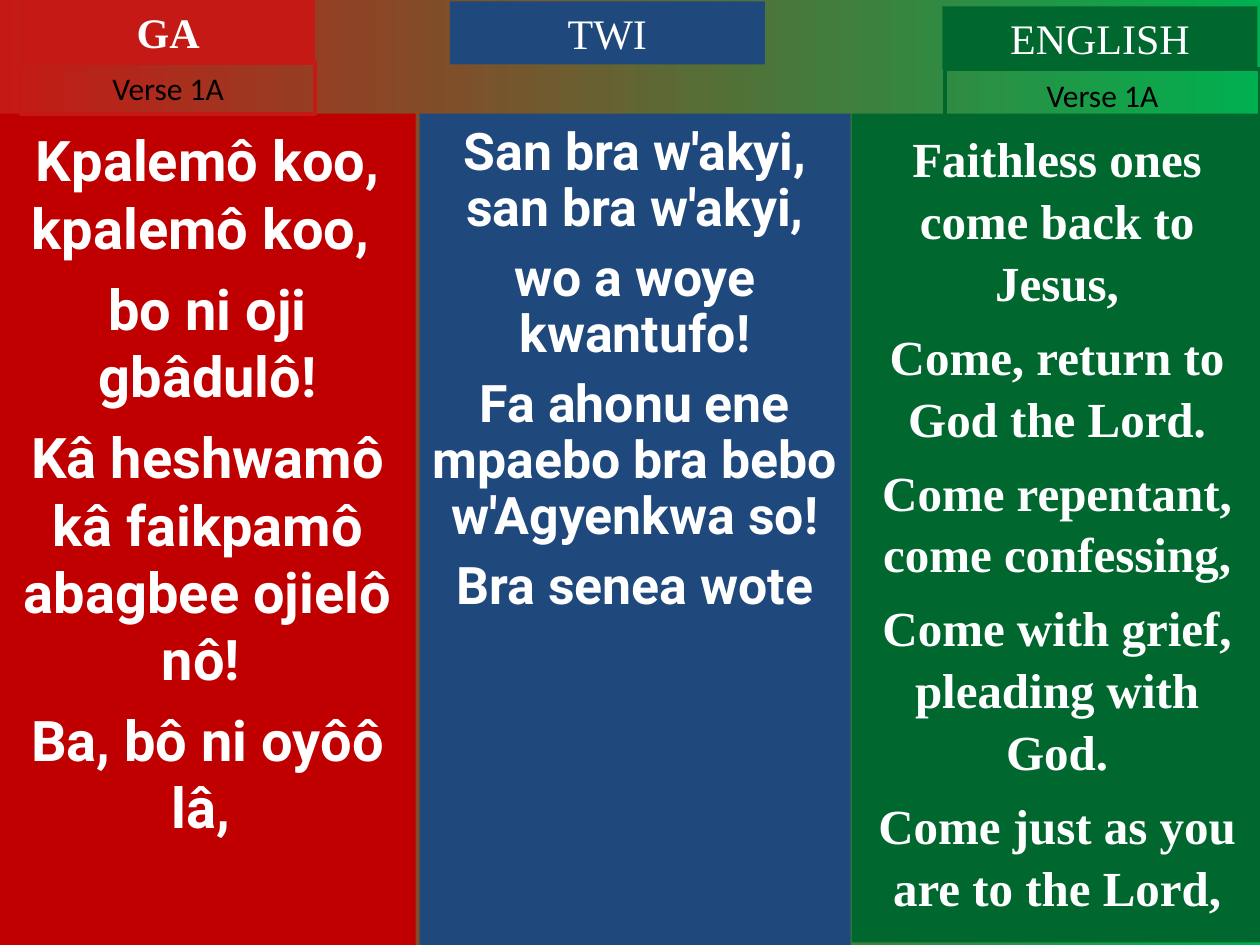
import pptx
import pptx.dml.color
import pptx.enum.shapes
import pptx.enum.text
import pptx.util

Cm, Pt = pptx.util.Cm, pptx.util.Pt

RED, BLUE, GREEN, WHITE, BLACK = "C51915", "1F497D", "00682F", "FFFFFF", "000000"
HEADING = {"name": "Times New Roman", "size": Pt(24)}
VERSE = {"name": "Calibri", "size": Pt(18)}

# Each column: frame in cm (left, top, width, height), fill, font, paragraph gap, line spacing, lyrics
COLUMNS = [
    ((0, 2.29, 8.38, 16.76), "C00000", {"name": "Roboto", "size": Pt(32), "bold": True}, 8, 1.0,
     ["Kpalemô koo, kpalemô koo, ",
      "bo ni oji gbâdulô!",
      "Kâ heshwamô kâ faikpamô abagbee ojielô nô! ",
      "Ba, bô ni oyôô lâ, "]),
    ((8.46, 2.29, 8.69, 16.76), BLUE, {"name": "Roboto", "size": Pt(29.6), "bold": True}, 8, 0.9,
     ["San bra w'akyi, san bra w'akyi,",
      "wo a woye kwantufo!",
      "Fa ahonu ene mpaebo bra bebo w'Agyenkwa so!",
      "Bra senea wote"]),
    ((17.17, 2.29, 8.28, 16.71), GREEN, {"name": "Times New Roman", "size": Pt(28), "bold": True}, 7, 1.05,
     ["Faithless ones come back to Jesus,",
      "Come, return to God the Lord.",
      "Come repentant, come confessing,",
      "Come with grief, pleading with God.",
      "Come just as you are to the Lord,"]),
]
HEADINGS = [
    ("GA", (0.43, 0, 5.92, 1.27), RED, {**HEADING, "bold": True}),
    ("TWI", (9.07, 0.03, 6.35, 1.27), BLUE, HEADING),
    ("ENGLISH", (19, 0.13, 6.35, 1.27), GREEN, HEADING),
]
VERSES = [
    ("Verse 1A", (0.43, 1.27, 5.92, 1.03), RED),
    ("Verse 1A", (19.05, 1.4, 6.35, 1.03), GREEN),
]


def rgb(value):
    return pptx.dml.color.RGBColor.from_string(value)


def add_panel(page, frame, lines, font, color, fill=None, outline=None, gap=0, spacing=1.0, top=0.13):
    """Add a rectangle with centred lines of text, filled or outlined."""
    box = page.shapes.add_shape(
        pptx.enum.shapes.MSO_SHAPE.RECTANGLE, *[Cm(length) for length in frame])
    box.shadow.inherit = False
    if fill:
        box.fill.solid()
        box.fill.fore_color.rgb = rgb(fill)
    else:
        box.fill.background()
    if outline:
        box.line.color.rgb = rgb(outline)
        box.line.width = Pt(2.25)
    else:
        box.line.fill.background()

    text = box.text_frame
    settings = {"word_wrap": True, "vertical_anchor": pptx.enum.text.MSO_ANCHOR.TOP,
                "margin_left": Cm(0.25), "margin_right": Cm(0.25),
                "margin_top": Cm(top), "margin_bottom": Cm(0.13)}
    for name, value in settings.items():
        setattr(text, name, value)
    for index, line in enumerate(lines):
        para = text.add_paragraph() if index else text.paragraphs[0]
        para.alignment = pptx.enum.text.PP_ALIGN.CENTER
        para.line_spacing = spacing
        para.space_before = Pt(gap if index else 0)
        span = para.add_run()
        span.text = line
        for name, value in font.items():
            setattr(span.font, name, value)
        span.font.color.rgb = rgb(color)


def main():
    deck = pptx.Presentation()
    deck.slide_width, deck.slide_height = Cm(25.4), Cm(19.05)
    page = deck.slides.add_slide(deck.slide_layouts[6])

    background = page.background.fill
    background.gradient()
    background.gradient_angle = 0
    for stop, (position, color) in zip(background.gradient_stops, [(0, RED), (1, "00B050")]):
        stop.position = position
        stop.color.rgb = rgb(color)

    for frame, fill, font, gap, spacing, lyrics in COLUMNS:
        add_panel(page, frame, lyrics, font, WHITE, fill=fill, gap=gap, spacing=spacing, top=0.25)
    for label, frame, fill, font in HEADINGS:
        add_panel(page, frame, [label], font, WHITE, fill=fill)
    for label, frame, outline in VERSES:
        add_panel(page, frame, [label], VERSE, BLACK, outline=outline)

    deck.save("out.pptx")


if __name__ == "__main__":
    main()
